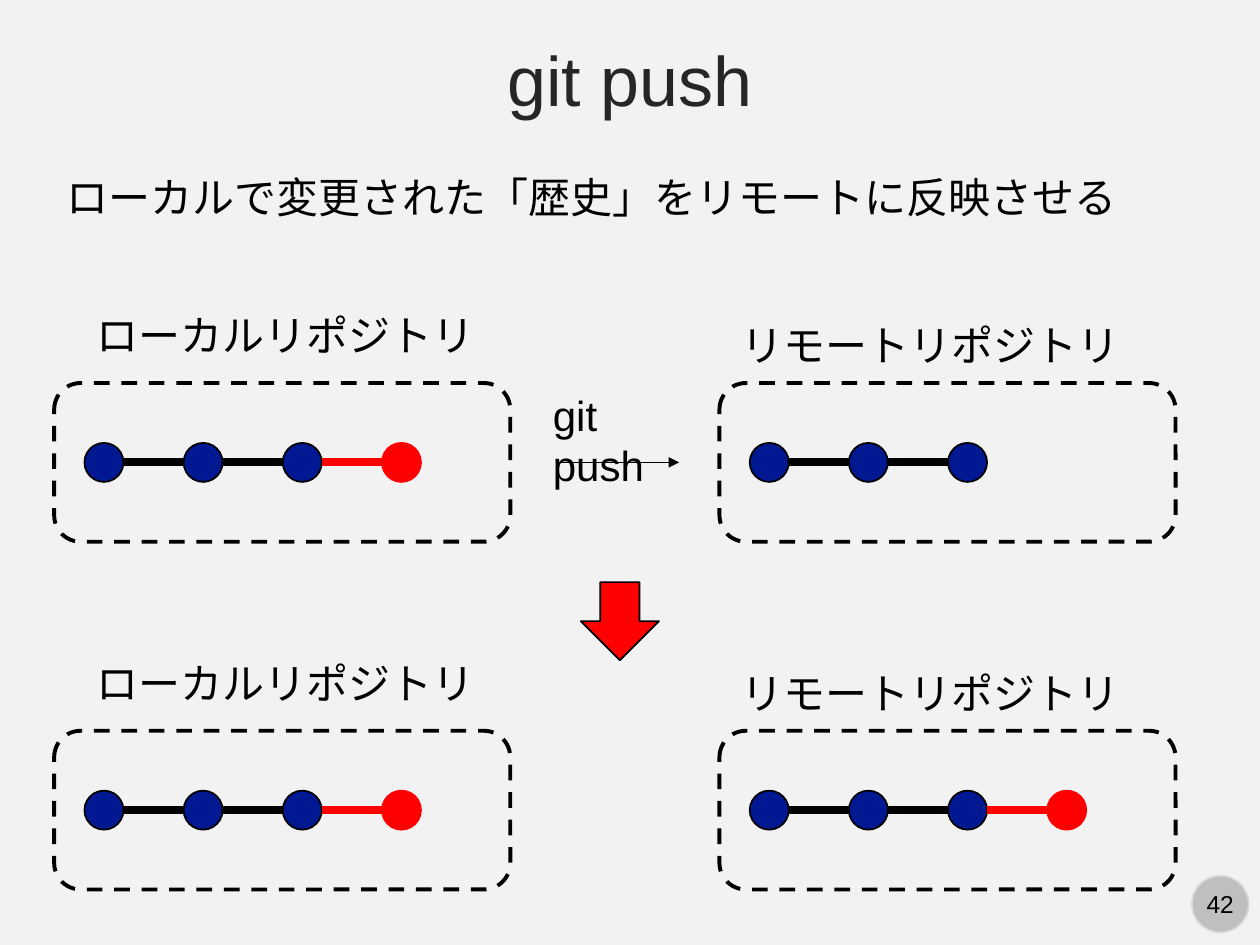
from dataclasses import dataclass

from lxml import etree
from pptx import Presentation
from pptx import util as u
from pptx.dml.color import RGBColor
from pptx.enum import dml, shapes, text
from pptx.oxml import ns

PALE = RGBColor(0xF2, 0xF2, 0xF2)
INK = RGBColor(0x26, 0x26, 0x26)
BLACK = RGBColor(0, 0, 0)
NAVY = RGBColor(0x01, 0x18, 0x93)
RED = RGBColor(0xFF, 0, 0)
GRAY = RGBColor(0xBF, 0xBF, 0xBF)
RIM = RGBColor(0xD9, 0xD9, 0xD9)

FONT = "Arial"
BOX_W, BOX_H = 3.62, 1.26
DOT, STEP = 0.31, 0.787
PAD = 0.24  # from box edge to first dot
MID = BOX_H / 2  # from box top to history line


@dataclass
class Repo:
    """One repository: its box corner, label and commit history."""
    left: float
    top: float
    name: str
    name_dx: float
    name_dy: float
    fresh: bool  # ends with the new red commit


def add_run(para, words: str, size: float, color: RGBColor) -> None:
    run = para.add_run()
    run.text = words
    run.font.size = u.Pt(size)
    run.font.name = FONT
    run.font.color.rgb = color


def add_note(slide, words: str, x: float, y: float, w: float) -> None:
    box = slide.shapes.add_textbox(*map(u.Inches, (x, y, w, 0.5)))
    box.text_frame.word_wrap = True
    add_run(box.text_frame.paragraphs[0], words, 24, BLACK)


def add_form(slide, kind, x: float, y: float, w: float, h: float,
             fill: RGBColor | None, line: RGBColor = BLACK, width: float = 1):
    form = slide.shapes.add_shape(kind, *map(u.Inches, (x, y, w, h)))
    form.shadow.inherit = False
    if fill is None:
        form.fill.background()
    else:
        form.fill.solid()
        form.fill.fore_color.rgb = fill
    form.line.color.rgb = line
    form.line.width = u.Pt(width)
    return form


def add_link(slide, x: float, end: float, y: float, color: RGBColor,
             width: float, arrow: bool = False) -> None:
    link = slide.shapes.add_connector(
        shapes.MSO_CONNECTOR.STRAIGHT, *map(u.Inches, (x, y, end, y)))
    link.line.color.rgb = color
    link.line.width = u.Pt(width)
    if arrow:
        tail = etree.SubElement(link.line._get_or_add_ln(), ns.qn("a:tailEnd"))
        tail.set("type", "triangle")
    etree.SubElement(link._element.spPr, ns.qn("a:effectLst"))


def add_repo(slide, repo: Repo) -> None:
    frame = add_form(slide, shapes.MSO_SHAPE.ROUNDED_RECTANGLE, repo.left,
                     repo.top, BOX_W, BOX_H, None, width=2.25)
    frame.line.dash_style = dml.MSO_LINE.DASH
    add_note(slide, repo.name, repo.left + repo.name_dx,
             repo.top + repo.name_dy, 3.23)

    # Commits, each linked to the one before
    y = repo.top + MID
    for i in range(4 if repo.fresh else 3):
        x = repo.left + PAD + i * STEP
        new = i == 3
        if i:
            add_link(slide, x - STEP + DOT, x, y, RED if new else BLACK, 4.5)
        add_form(slide, shapes.MSO_SHAPE.OVAL, x, y - DOT / 2, DOT, DOT,
                 RED if new else NAVY, RED if new else BLACK)


def main() -> None:
    deck = Presentation()
    deck.slide_width, deck.slide_height = u.Inches(10), u.Inches(7.5)
    slide = deck.slides.add_slide(deck.slide_layouts[5])
    slide.background.fill.solid()
    slide.background.fill.fore_color.rgb = PALE

    # Title and message
    title = slide.shapes.title
    title.left, title.top = u.Inches(0), u.Inches(0.21)
    title.width, title.height = u.Inches(10), u.Inches(0.82)
    title.text_frame.vertical_anchor = text.MSO_ANCHOR.MIDDLE
    para = title.text_frame.paragraphs[0]
    para.alignment = text.PP_ALIGN.CENTER
    add_run(para, "git push", 40, INK)
    add_note(slide, "ローカルで変更された「歴史」をリモートに反映させる",
             0.43, 1.31, 8.62)

    # Repositories before (top row) and after (bottom row) the push
    for top, pushed in ((3.04, False), (5.8, True)):
        add_repo(slide, Repo(0.43, top, "ローカルリポジトリ", 0.24, -0.63, True))
        add_repo(slide, Repo(5.71, top, "リモートリポジトリ", 0.08, -0.55, pushed))

    # Push arrow and step arrow
    add_note(slide, "git push", 4.29, 3.04, 1.26)
    add_link(slide, 4.45, 5.39, 3.04 + MID, BLACK, 0.5, arrow=True)
    add_form(slide, shapes.MSO_SHAPE.DOWN_ARROW, 4.61, 4.62, 0.62, 0.62, RED)

    # Page number
    badge = add_form(slide, shapes.MSO_SHAPE.OVAL, 9.46, 6.95, 0.45, 0.45,
                     GRAY, RIM)
    badge.text_frame.word_wrap = False
    para = badge.text_frame.paragraphs[0]
    para.alignment = text.PP_ALIGN.CENTER
    add_run(para, "42", 14, BLACK)

    deck.save("out.pptx")


if __name__ == "__main__":
    main()
